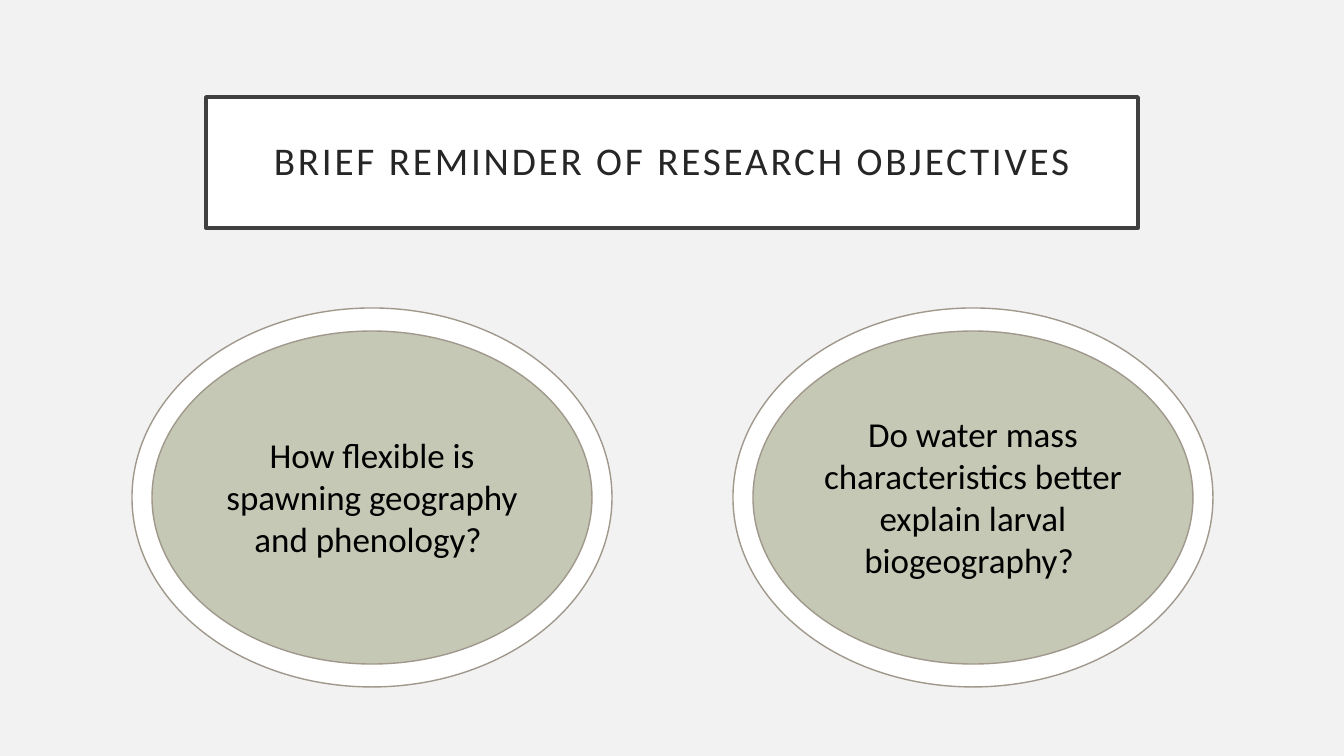
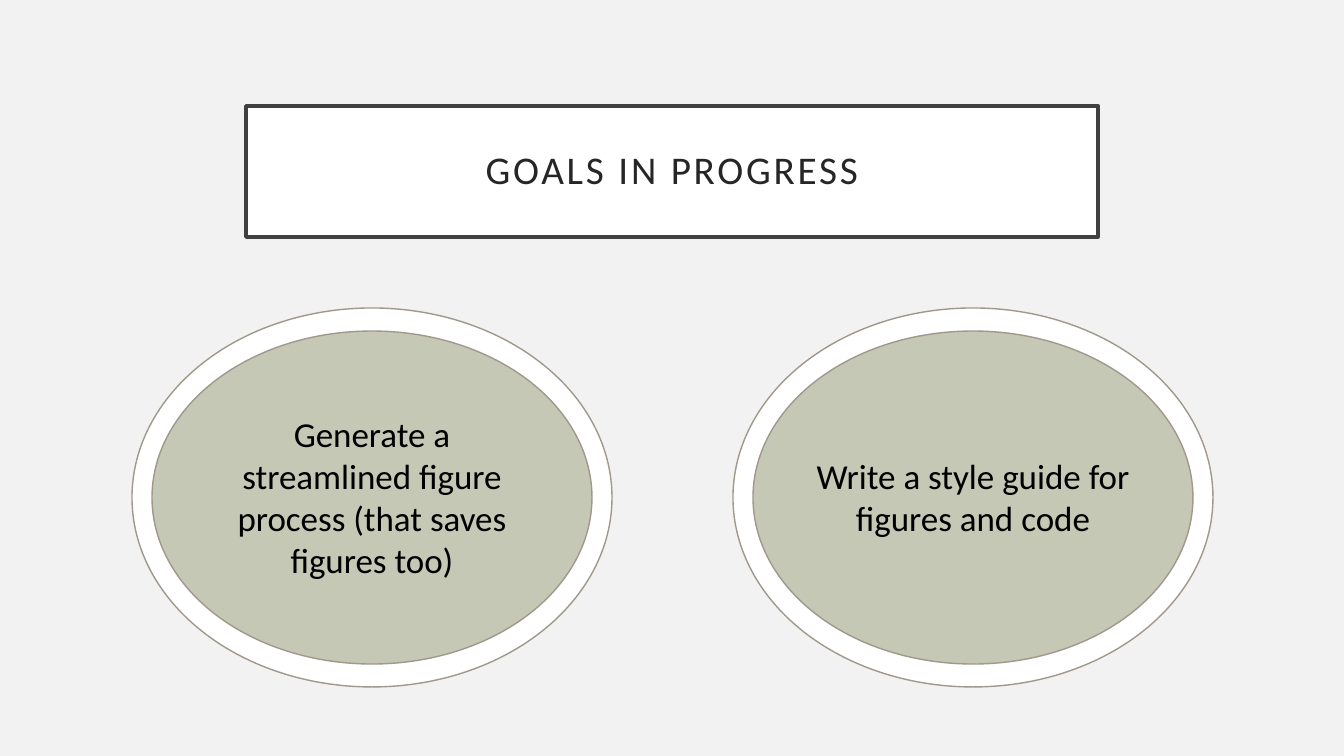
from dataclasses import dataclass

from pptx import Presentation
from pptx.dml.color import RGBColor
from pptx.enum.shapes import MSO_SHAPE
from pptx.enum.text import MSO_ANCHOR, MSO_AUTO_SIZE, PP_ALIGN
from pptx.util import Emu, Pt

SLIDE_WIDTH, SLIDE_HEIGHT = 1344, 756
EMU_PER_PX = 12192000 / SLIDE_WIDTH

FONT = "Calibri"
BACKGROUND = "F2F2F2"
WHITE = "FFFFFF"
SAGE = "C4C8B5"
TAUPE = "A0988C"
FRAME = "404040"
TITLE_INK = "262626"
BLACK = "000000"

TITLE_HEIGHT, TITLE_MARGIN = 131, 20
OVAL_TOP, OVAL_WIDTH, OVAL_HEIGHT = 308, 480, 379
OVAL_LEFT, OVAL_STEP = 132, 601
RING_X, RING_Y = 20, 23
TEXT_WIDTH, LINE_HEIGHT, TEXT_PADDING = 334, 42, 11

TITLE_FRAME = {
    "word_wrap": True,
    "auto_size": MSO_AUTO_SIZE.NONE,
    "vertical_anchor": MSO_ANCHOR.MIDDLE,
}
BODY_FRAME = {
    "word_wrap": True,
    "auto_size": MSO_AUTO_SIZE.SHAPE_TO_FIT_TEXT,
    "vertical_anchor": MSO_ANCHOR.TOP,
}
TITLE_PARAGRAPH = {"alignment": PP_ALIGN.CENTER, "line_spacing": 0.9}
BODY_PARAGRAPH = {"alignment": PP_ALIGN.CENTER}
TITLE_FONT = {"name": FONT, "size": Pt(28), "bold": False}
BODY_FONT = {"name": FONT, "size": Pt(25)}


@dataclass(frozen=True)
class Box:
    left: int
    top: int
    width: int
    height: int

    def inset(self, x: int, y: int) -> "Box":
        return Box(self.left + x, self.top + y, self.width - 2 * x, self.height - 2 * y)

    def centred(self, width: int, height: int) -> "Box":
        """Return a box of the given size around the same centre."""
        return self.inset((self.width - width) // 2, (self.height - height) // 2)

    def emu(self) -> tuple[Emu, ...]:
        return tuple(px(value) for value in (self.left, self.top, self.width, self.height))


@dataclass(frozen=True)
class Point:
    text: str
    lines: int


@dataclass(frozen=True)
class Page:
    title: str
    title_top: int
    title_width: int
    points: tuple[Point, ...]


PAGES = (
    Page("BRIEF REMINDER OF RESEARCH OBJECTIVES", 97, 932, (
        Point("How flexible is spawning geography and phenology? ", 3),
        Point("Do water mass characteristics better explain larval biogeography? ", 4),
    )),
    Page("GOALS IN PROGRESS", 106, 852, (
        Point("Generate a streamlined figure process (that saves figures too)", 4),
        Point("Write a style guide for figures and code", 2),
    )),
)


def px(value: int) -> Emu:
    return Emu(round(value * EMU_PER_PX))


def colour(value: str) -> RGBColor:
    return RGBColor.from_string(value)


def apply(target, values: dict) -> None:
    for name, value in values.items():
        setattr(target, name, value)


def paint(shape, fill: str, line: str, weight: float) -> None:
    shape.fill.solid()
    shape.fill.fore_color.rgb = colour(fill)
    shape.line.color.rgb = colour(line)
    shape.line.width = Pt(weight)


def write(shape, text: str, frame: dict, paragraph_format: dict, font: dict, ink: str):
    """Put one formatted run in the shape and return it."""
    apply(shape.text_frame, frame)
    paragraph = shape.text_frame.paragraphs[0]
    apply(paragraph, paragraph_format)
    run = paragraph.add_run()
    run.text = text
    apply(run.font, font)
    run.font.color.rgb = colour(ink)
    return run


def place_title(slide, page: Page) -> None:
    title = slide.shapes.title
    left = (SLIDE_WIDTH - page.title_width) // 2
    box = Box(left, page.title_top, page.title_width, TITLE_HEIGHT)
    apply(title, dict(zip(("left", "top", "width", "height"), box.emu())))
    paint(title, WHITE, FRAME, 2.5)
    margins = ("margin_left", "margin_top", "margin_right", "margin_bottom")
    apply(title.text_frame, dict.fromkeys(margins, px(TITLE_MARGIN)))
    run = write(title, page.title, TITLE_FRAME, TITLE_PARAGRAPH, TITLE_FONT, TITLE_INK)
    run.font._element.set("spc", "200")


def add_ringed_oval(slide, box: Box) -> None:
    group = slide.shapes.add_group_shape()
    for oval_box, fill in ((box, WHITE), (box.inset(RING_X, RING_Y), SAGE)):
        oval = group.shapes.add_shape(MSO_SHAPE.OVAL, *oval_box.emu())
        oval.shadow.inherit = False
        paint(oval, fill, TAUPE, 1)


def add_point_text(slide, box: Box, point: Point) -> None:
    height = point.lines * LINE_HEIGHT + TEXT_PADDING
    text_box = slide.shapes.add_textbox(*box.centred(TEXT_WIDTH, height).emu())
    write(text_box, point.text, BODY_FRAME, BODY_PARAGRAPH, BODY_FONT, BLACK)


def add_page(presentation, page: Page) -> None:
    slide = presentation.slides.add_slide(presentation.slide_layouts.get_by_name("Title Only"))
    place_title(slide, page)
    boxes = [
        Box(OVAL_LEFT + index * OVAL_STEP, OVAL_TOP, OVAL_WIDTH, OVAL_HEIGHT)
        for index in range(len(page.points))
    ]
    for box in boxes:
        add_ringed_oval(slide, box)
    for box, point in zip(boxes, page.points):
        add_point_text(slide, box, point)


def main() -> None:
    presentation = Presentation()
    presentation.slide_width, presentation.slide_height = px(SLIDE_WIDTH), px(SLIDE_HEIGHT)
    background = presentation.slide_master.background.fill
    background.solid()
    background.fore_color.rgb = colour(BACKGROUND)
    for page in PAGES:
        add_page(presentation, page)
    presentation.save("out.pptx")


if __name__ == "__main__":
    main()
